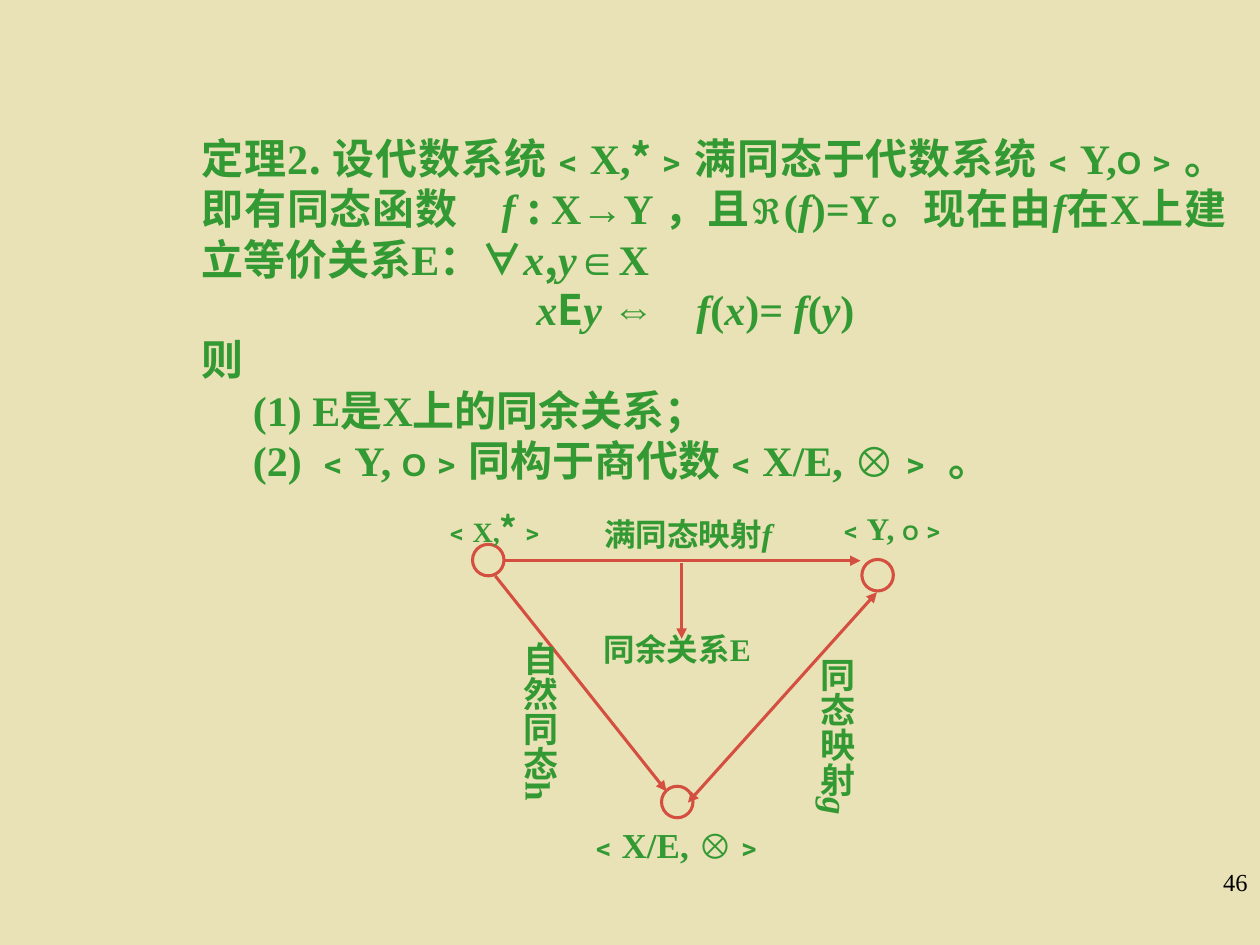
from pptx import Presentation
from pptx.dml.color import RGBColor
from pptx.enum.shapes import MSO_CONNECTOR as Connector, MSO_SHAPE as Shape
from pptx.enum.text import MSO_ANCHOR as Anchor, PP_ALIGN as Align
from pptx.oxml.ns import qn
from pptx.util import Inches, Pt
from lxml.etree import SubElement

BACKGROUND = RGBColor(0xE9, 0xE2, 0xB6)
GREEN = RGBColor(0x33, 0x99, 0x33)
RED = RGBColor(0xD5, 0x4F, 0x41)
BLACK = RGBColor(0, 0, 0)
SERIF, SANS, CJK = "Times New Roman", "Arial", "Noto Sans CJK SC"


def add_run(paragraph, text, size=18, font=SERIF, color=GREEN, bold=True, italic=False):
    run = paragraph.add_run()
    run.text = text
    run.font.size = Pt(size)
    run.font.name = font
    run.font.bold = bold
    run.font.italic = italic
    run.font.color.rgb = color
    east_asian = SANS if font == SANS else CJK
    SubElement(run._r.get_or_add_rPr(), qn("a:ea")).set("typeface", east_asian)


def italic(text):
    return text, {"italic": True}


def sans(text, **style):
    return text, {"font": SANS, **style}


def cjk(text, **style):
    return text, {"font": CJK, **style}


class DiagramSlide:
    """Holds the current slide and the style of its elements."""

    def __init__(self, slide, line_color=RED, line_width=1.75):
        self.slide = slide
        self.line_color = line_color
        self.line_width = Pt(line_width)
        slide.background.fill.solid()
        slide.background.fill.fore_color.rgb = BACKGROUND

    def text(self, left, top, width, height, paragraphs, size=18,
             align=Align.CENTER, vertical=False, **style):
        """Each paragraph is (indent in inches, list of runs)."""
        box = self.slide.shapes.add_textbox(
            Inches(left), Inches(top), Inches(width), Inches(height))
        frame = box.text_frame
        frame.word_wrap = True
        frame.vertical_anchor = Anchor.TOP
        across, along = (0.05, 0.1) if vertical else (0.1, 0.05)
        frame.margin_left = frame.margin_right = Inches(across)
        frame.margin_top = frame.margin_bottom = Inches(along)
        if vertical:
            frame._txBody.bodyPr.set("vert", "eaVert")
        for number, (indent, runs) in enumerate(paragraphs):
            paragraph = frame.add_paragraph() if number else frame.paragraphs[0]
            paragraph.alignment = align
            paragraph.line_spacing = Pt(size * 1.2)
            if indent:
                paragraph._p.get_or_add_pPr().set("marL", str(Inches(indent)))
            for run in runs:
                content, own = (run, {}) if isinstance(run, str) else run
                add_run(paragraph, content, **{"size": size, **style, **own})

    def label(self, left, top, width, height, *runs, **style):
        self.text(left, top, width, height, [(0, runs)], **style)

    def node(self, left, top, diameter=0.25):
        circle = self.slide.shapes.add_shape(
            Shape.OVAL, Inches(left), Inches(top), Inches(diameter), Inches(diameter))
        circle.shadow.inherit = False
        circle.fill.background()
        self.style_line(circle.line)

    def arrow(self, start, end, both_ends=False):
        connector = self.slide.shapes.add_connector(
            Connector.STRAIGHT, *map(Inches, start + end))
        self.style_line(connector.line)
        line = connector.line._get_or_add_ln()
        for tag in ["a:headEnd"] * both_ends + ["a:tailEnd"]:
            SubElement(line, qn(tag)).set("type", "triangle")
        SubElement(connector._element.spPr, qn("a:effectLst"))

    def style_line(self, line):
        line.color.rgb = self.line_color
        line.width = self.line_width


def main():
    presentation = Presentation()
    presentation.slide_width, presentation.slide_height = Inches(10), Inches(7.5)
    blank = presentation.slide_layouts[6]
    diagram = DiagramSlide(presentation.slides.add_slide(blank))

    # Slide number
    diagram.label(7.92, 6.83, 2.08, 0.5, "46", size=14, align=Align.RIGHT,
                  color=BLACK, bold=False)

    # Theorem
    statement = [
        cjk("定理"), "2", cjk(". 设代数系统"), "﹤X,", cjk("*"), "﹥满同态于",
        cjk("代数系统"), "﹤Y,", sans("Ο", size=18), "﹥。即有同态函数　",
        italic("f "), cjk(": "), "X", sans("→"), "Y ，且", sans("ℜ"), "(",
        italic("f"), ")=Y。现在由", italic("f"), "在X上建立等价关系E：",
        sans("∀"), italic("x"), cjk(","), italic("y"), sans("∈"), "X",
    ]
    equivalence = [
        italic("x"), cjk("E"), italic("y "), sans("⇔　"), italic("f"), "(",
        italic("x"), ")= ", italic("f"), "(", italic("y"), ")",
    ]
    isomorphism = [
        "(2) ﹤Y, ", sans("Ο", size=18), "﹥同构于商", cjk("代数"), "﹤X/E, ",
        sans("⊗"), "﹥ 。",
    ]
    diagram.text(1.5, 1, 8.33, 6.25, [
        (0, statement),
        (2.66, equivalence),
        (0, ["则"]),
        (0.41, ["(1) E是X上的同余关系；"]),
        (0.41, isomorphism),
    ], size=24, align=Align.JUSTIFY)

    # Nodes and arrows
    for left, top in [(3.75, 4.32), (6.84, 4.44), (5.25, 6.24)]:
        diagram.node(left, top)
    diagram.arrow((4, 4.45), (6.83, 4.45))
    diagram.arrow((3.93, 4.57), (5.29, 6.28))
    diagram.arrow((5.41, 4.47), (5.41, 5.07))
    diagram.arrow((6.96, 4.7), (5.46, 6.37), both_ends=True)

    # Node labels
    diagram.label(3.33, 4.01, 1.2, 0.44, "﹤", ("X,", {"size": 16}),
                  cjk("*", size=20), "﹥")
    diagram.label(6.5, 3.99, 1.17, 0.4, "﹤Y, ", sans("Ο", size=12), "﹥")
    diagram.label(4.5, 6.49, 1.75, 0.44, "﹤X/E, ", sans("⊗"), "﹥", size=20)

    # Arrow labels
    diagram.label(4.5, 4.04, 1.92, 0.4, "满同态映射", italic("f"))
    diagram.label(4.5, 4.95, 1.75, 0.4, "同余关系E")
    diagram.label(3.97, 4.99, 0.53, 1.67, "自然同态h", size=20, vertical=True)
    diagram.label(6.33, 5.12, 0.53, 1.5, "同态映射", italic("g"), size=20, vertical=True)

    presentation.save("out.pptx")


if __name__ == "__main__":
    main()
